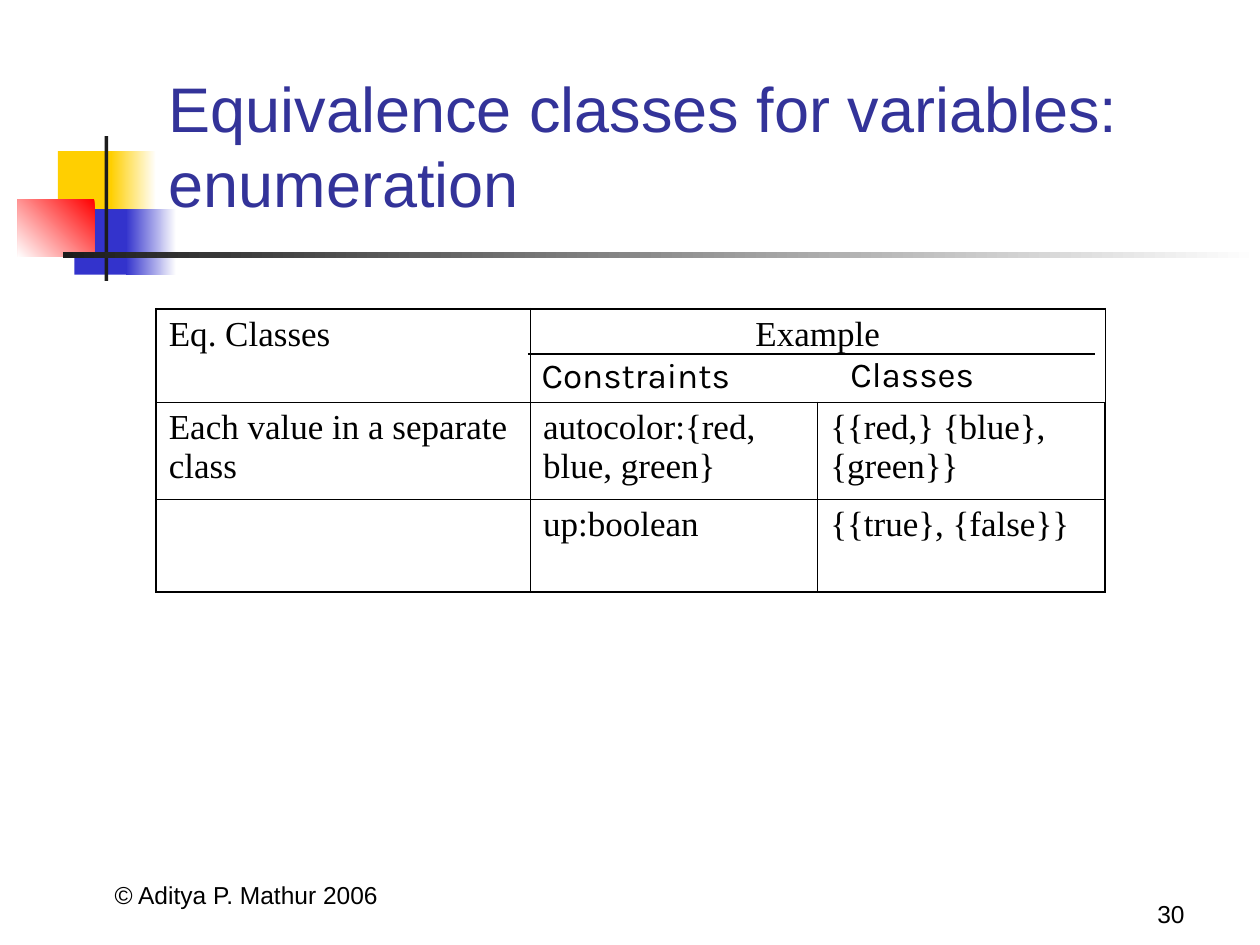
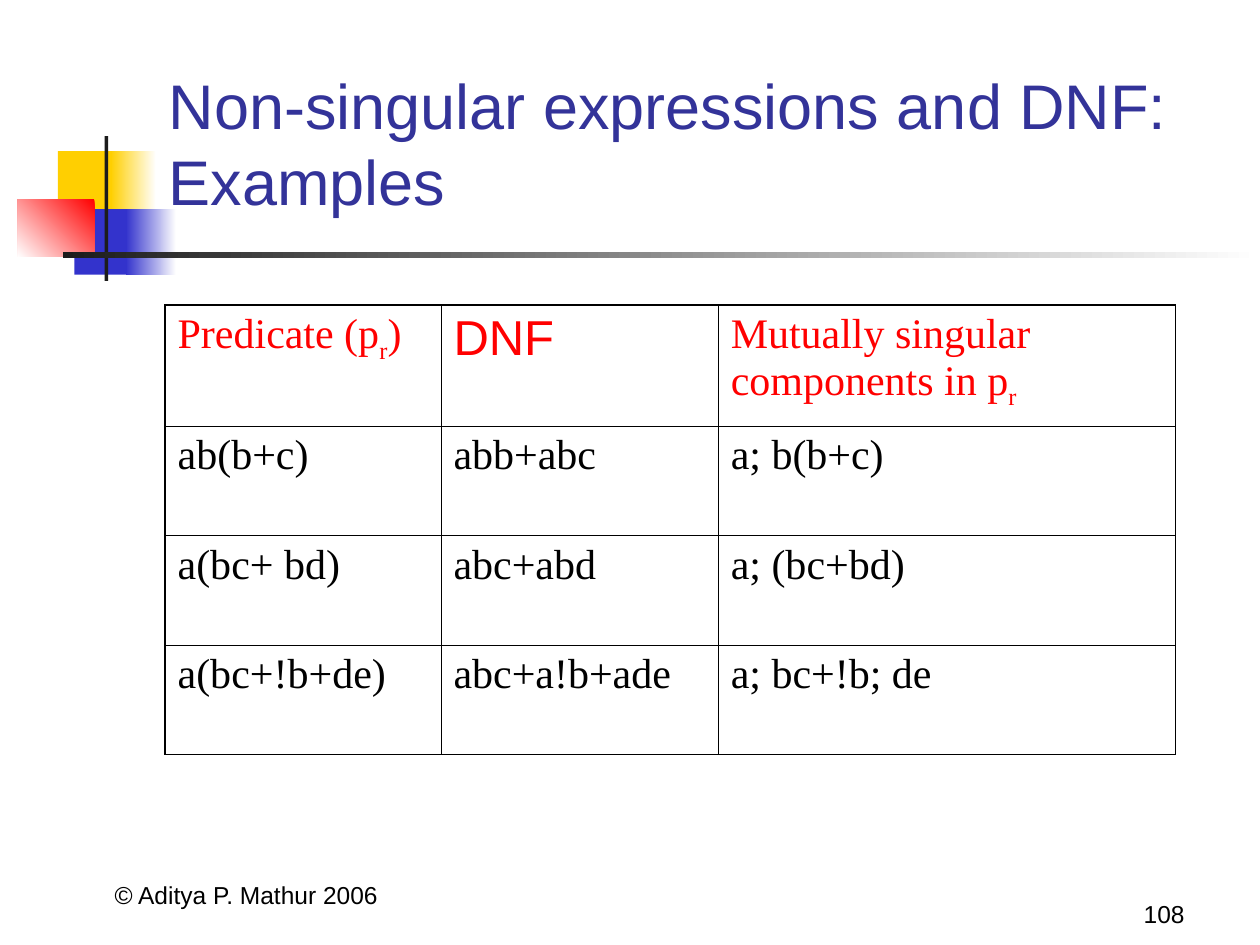
import dataclasses

import lxml.etree
import pptx
import pptx.dml.color
import pptx.enum.shapes
import pptx.enum.text
import pptx.oxml.ns
import pptx.util

Inches = pptx.util.Inches
Pt = pptx.util.Pt
Align = pptx.enum.text.PP_ALIGN
Anchor = pptx.enum.text.MSO_ANCHOR
qualified = pptx.oxml.ns.qn


@dataclasses.dataclass(frozen=True)
class Theme:
    title: str = "333399"
    text: str = "000000"
    heading: str = "FF0000"
    white: str = "FFFFFF"
    yellow: str = "FFCF01"
    blue: str = "3333CC"
    red: str = "FF0000"
    dark: str = "1C1C1C"
    sans: str = "Arial"
    serif: str = "Times New Roman"
    label: str = "Karla"
    title_size: float = 36
    heading_size: float = 28
    large_size: float = 24
    text_size: float = 20
    footer_size: float = 14
    outer_border: float = 1.08
    inner_border: float = 0.45


THEME = Theme()


def rgb(color):
    return pptx.dml.color.RGBColor.from_string(color)


def inches(*lengths):
    return [Inches(length) for length in lengths]


def format_runs(paragraph, size, font_name, color=THEME.text):
    for run in paragraph.runs:
        run.font.size = Pt(size)
        run.font.name = font_name
        run.font.color.rgb = rgb(color)


def add_band(slide, box, start, end=None, angle=180):
    shape = slide.shapes.add_shape(
        pptx.enum.shapes.MSO_SHAPE.RECTANGLE, *inches(*box))
    shape.shadow.inherit = False
    shape.line.fill.background()
    if end is None:
        shape.fill.solid()
        shape.fill.fore_color.rgb = rgb(start)
    else:
        shape.fill.gradient()
        shape.fill.gradient_angle = angle
        for stop, color in zip(shape.fill.gradient_stops, (start, end)):
            stop.color.rgb = rgb(color)
    return shape


def decorate_layout(layout, slide):
    for placeholder in list(layout.placeholders):
        if placeholder.placeholder_format.idx != 0:
            placeholder.element.getparent().remove(placeholder.element)
    bands = [
        add_band(slide, (0.46, 1.2, 0.48, 0.52), THEME.yellow),
        add_band(slide, (0.88, 1.2, 0.36, 0.52), THEME.white, THEME.yellow),
        add_band(slide, (0.59, 1.66, 0.46, 0.52), THEME.blue),
        add_band(slide, (1, 1.66, 0.4, 0.52), THEME.white, THEME.blue),
        add_band(slide, (0.14, 1.58, 0.61, 0.46), THEME.red, THEME.white, 225),
        add_band(slide, (0.83, 1.08, 0.03, 1.15), THEME.dark),
        add_band(slide, (0.5, 2, 9.5, 0.05), THEME.white, THEME.dark),
    ]
    for band in bands:
        layout.shapes.element.append(band.element)


def add_text(slide, box, text, size, font_name, align=Align.LEFT,
             anchor=Anchor.TOP, wrap=True):
    shape = slide.shapes.add_textbox(*inches(*box))
    frame = shape.text_frame
    frame.word_wrap = wrap
    frame.vertical_anchor = anchor
    frame.text = text
    frame.paragraphs[0].alignment = align
    format_runs(frame.paragraphs[0], size, font_name)


def set_title(slide, text, top):
    title = slide.shapes.title
    title.left, title.top, title.width, title.height = inches(1.24, top, 8.52, 0.71)
    frame = title.text_frame
    frame.text = text
    frame.auto_size = pptx.enum.text.MSO_AUTO_SIZE.NONE
    frame.vertical_anchor = Anchor.BOTTOM
    frame.paragraphs[0].alignment = Align.LEFT
    format_runs(frame.paragraphs[0], THEME.title_size, THEME.sans, THEME.title)


def add_footer(slide, number):
    add_text(slide, (0.37, 6.77, 3.17, 0.5), "© Aditya P. Mathur 2006",
             THEME.footer_size, THEME.sans, Align.CENTER, Anchor.BOTTOM)
    add_text(slide, (7.42, 6.92, 2.08, 0.5), str(number),
             THEME.footer_size, THEME.sans, Align.RIGHT, Anchor.BOTTOM)


def fill_paragraph(paragraph, text):
    for index, piece in enumerate(text.split("~")):
        if piece:
            run = paragraph.add_run()
            run.text = piece
            if index % 2:
                run.font.size = Pt(THEME.large_size)
                run.font._element.set("baseline", "-25000")


def set_borders(cell, outer_edges):
    properties = cell._tc.get_or_add_tcPr()
    for position, (edge, outer) in enumerate(outer_edges.items()):
        width = Pt(THEME.outer_border if outer else THEME.inner_border)
        line = lxml.etree.Element(qualified(f"a:ln{edge}"), w=str(int(width)))
        fill = lxml.etree.SubElement(line, qualified("a:solidFill"))
        lxml.etree.SubElement(fill, qualified("a:srgbClr"), val=THEME.text)
        properties.insert(position, line)


def add_grid(slide, left, top, widths, heights, rows, size):
    frame = slide.shapes.add_table(
        len(heights), len(widths),
        *inches(left, top, sum(widths), sum(heights)))
    table = frame.table
    table.first_row = table.horz_banding = False
    for column, width in zip(table.columns, widths):
        column.width = Inches(width)
    for row, height in zip(table.rows, heights):
        row.height = Inches(height)
    for row_index, texts in enumerate(rows):
        for column_index, text in enumerate(texts):
            cell = table.cell(row_index, column_index)
            cell.fill.background()
            set_borders(cell, {
                "L": column_index == 0,
                "R": column_index == len(widths) - 1,
                "T": row_index == 0,
                "B": row_index == len(heights) - 1,
            })
            paragraph = cell.text_frame.paragraphs[0]
            fill_paragraph(paragraph, text)
            format_runs(paragraph, size, THEME.serif)
    return table


def add_rule(slide, start_x, end_x, y):
    connector = slide.shapes.add_connector(
        pptx.enum.shapes.MSO_CONNECTOR.STRAIGHT, *inches(start_x, y, end_x, y))
    connector.line.color.rgb = rgb(THEME.text)
    connector.line.width = Pt(1)
    lxml.etree.SubElement(connector.element.spPr, qualified("a:effectLst"))


def build_enumeration(slide):
    set_title(slide, "Equivalence classes for variables: enumeration", 1.09)
    table = add_grid(
        slide, 1.24, 2.45, (2.97, 2.28, 2.28), (0.74, 0.77, 0.74),
        [("Eq. Classes", "Example", ""),
         ("Each value in a separate class", "autocolor:{red, blue, green}",
          "{{red,} {blue}, {green}}"),
         ("", "up:boolean", "{{true}, {false}}")],
        THEME.text_size)
    example = table.cell(0, 1)
    example.merge(table.cell(0, 2))
    example.text_frame.paragraphs[0].alignment = Align.CENTER
    add_rule(slide, 4.19, 8.69, 2.81)
    add_text(slide, (4.2, 2.76, 1.7, 0.44), "Constraints",
             THEME.text_size, THEME.label, wrap=False)
    add_text(slide, (6.65, 2.75, 1.82, 0.44), "Classes",
             THEME.text_size, THEME.label)
    add_footer(slide, 30)


def build_examples(slide):
    set_title(slide, "Non-singular expressions and DNF: Examples", 1.07)
    table = add_grid(
        slide, 1.31, 2.42, (2.19, 2.2, 3.63), (0.96, 0.87, 0.87, 0.87),
        [("Predicate (p~r~)", "DNF", "Mutually singular components in p~r~"),
         ("ab(b+c)", "abb+abc", "a; b(b+c)"),
         ("a(bc+ bd)", "abc+abd", "a; (bc+bd)"),
         ("a(bc+!b+de)", "abc+a!b+ade", "a; bc+!b; de")],
        THEME.large_size)
    headings = [table.cell(0, index).text_frame.paragraphs[0] for index in range(3)]
    for heading in headings:
        format_runs(heading, THEME.large_size, THEME.serif, THEME.heading)
    format_runs(headings[1], THEME.heading_size, THEME.sans, THEME.heading)
    add_footer(slide, 108)


def main():
    presentation = pptx.Presentation()
    presentation.slide_width, presentation.slide_height = inches(10, 7.5)
    layout = presentation.slide_layouts[5]
    enumeration = presentation.slides.add_slide(layout)
    decorate_layout(layout, enumeration)
    build_enumeration(enumeration)
    build_examples(presentation.slides.add_slide(layout))
    presentation.save("out.pptx")


if __name__ == "__main__":
    main()
